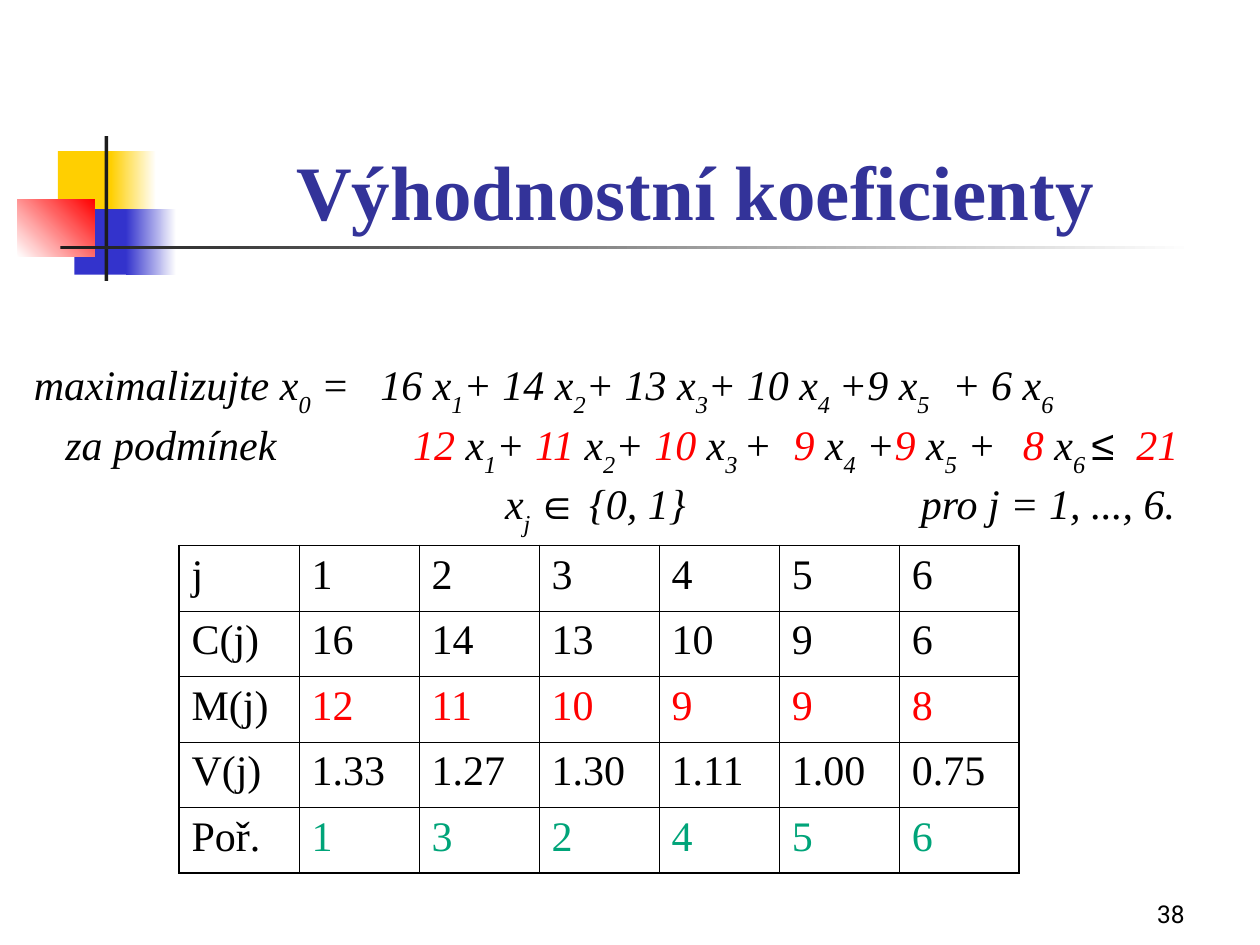
import pptx
import pptx.util
import pptx.dml.color
import pptx.enum.shapes
import pptx.enum.text
import pptx.oxml
import pptx.oxml.ns
import lxml.etree

Inches, Pt = pptx.util.Inches, pptx.util.Pt
RGBColor = pptx.dml.color.RGBColor
ALIGN, ANCHOR = pptx.enum.text.PP_ALIGN, pptx.enum.text.MSO_ANCHOR
qn = pptx.oxml.ns.qn

BLACK = RGBColor(0x00, 0x00, 0x00)
WHITE = RGBColor(0xFF, 0xFF, 0xFF)
DARK = RGBColor(0x1C, 0x1C, 0x1C)
GOLD = RGBColor(0xFF, 0xCF, 0x01)
BLUE = RGBColor(0x33, 0x33, 0xCC)
NAVY = RGBColor(0x33, 0x33, 0x99)
RED = RGBColor(0xFF, 0x00, 0x00)
GREEN = RGBColor(0x00, 0xA4, 0x79)
SERIF = "Times New Roman"

# Parts are split by "|": "_" marks a subscript, "*" red, "^" Arial.
# Each line has its tab stops, in inches from the left of the text.
LINES = [
    ("maximalizujte x|_0| =\t16 x|_1|+ 14 x|_2|+ 13 x|_3|+ 10 x|_4|\t+9 x|_5|\t+ 6 x|_6",
     [2.75, 6.39, 7.29]),
    ("\tza podmínek\t|*12 |x|_1|+ |*11| x|_2|+ |*10 |x|_3 |+\t|*9 |x|_4| +|*9| x|_5"
     "| +\t|*8 |x|_6 |^≤\t|*21", [0.25, 3.01, 6.03, 7.85, 8.75]),
    ("\tx|_j |^∈| {0, 1}\tpro j = 1, ..., 6.", [3.74, 7.04]),
]
ROWS = [
    ("j 1 2 3 4 5 6", BLACK),
    ("C(j) 16 14 13 10 9 6", BLACK),
    ("M(j) 12 11 10 9 9 8", RED),
    ("V(j) 1.33 1.27 1.30 1.11 1.00 0.75", BLACK),
    ("Poř. 1 3 2 4 5 6", GREEN),
]


def style(font, size, color, name=SERIF):
    font.size, font.name = Pt(size), name
    font.color.rgb = color


def add_block(slide, left, top, width, height, color, end=None, angle=0):
    """A plain block, or one that fades from color to end."""
    block = slide.shapes.add_shape(
        pptx.enum.shapes.MSO_SHAPE.RECTANGLE,
        Inches(left), Inches(top), Inches(width), Inches(height))
    block.shadow.inherit = False
    block.line.fill.background()
    if end is None:
        block.fill.solid()
        block.fill.fore_color.rgb = color
        return
    block.fill.gradient()
    block.fill.gradient_angle = angle
    for stop, place, shade in zip(block.fill.gradient_stops, (0, 1), (color, end)):
        stop.position = place
        stop.color.rgb = shade


def add_motif(slide, left, top):
    add_block(slide, left + 0.32, top + 0.12, 0.48, 0.52, GOLD)
    add_block(slide, left + 0.74, top + 0.12, 0.36, 0.52, GOLD, WHITE)
    add_block(slide, left + 0.45, top + 0.58, 0.46, 0.52, BLUE)
    add_block(slide, left + 0.86, top + 0.58, 0.4, 0.52, BLUE, WHITE)
    add_block(slide, left, top + 0.5, 0.61, 0.46, WHITE, RED, 45)
    add_block(slide, left + 0.69, top, 0.03, 1.15, DARK)
    add_block(slide, left + 0.34, top + 0.87, 9, 0.03, DARK, WHITE)


def add_frame(slide, left, top, width, height, anchor):
    frame = slide.shapes.add_textbox(
        Inches(left), Inches(top), Inches(width), Inches(height)).text_frame
    frame.word_wrap = True
    frame.vertical_anchor = anchor
    return frame


def add_label(slide, box, text, align, size, color, name=SERIF, bold=False):
    par = add_frame(slide, *box, ANCHOR.BOTTOM).paragraphs[0]
    par.text, par.alignment = text, align
    style(par.font, size, color, name)
    par.font.bold = bold


def set_tabs(par, stops):
    tabs = lxml.etree.SubElement(par._p.get_or_add_pPr(), qn("a:tabLst"))
    for stop in stops:
        lxml.etree.SubElement(tabs, qn("a:tab"), pos=str(Inches(stop)), algn="l")


def add_model(slide, left, top, width, height):
    frame = add_frame(slide, left, top, width, height, ANCHOR.TOP)
    for i, (line, stops) in enumerate(LINES):
        par = frame.add_paragraph() if i else frame.paragraphs[0]
        set_tabs(par, stops)
        style(par.font, 24, BLACK)
        par.font.italic = True
        for part in line.split("|"):
            run = par.add_run()
            run.text = part.lstrip("_*^")
            if part[0] == "_":
                run._r.get_or_add_rPr().set("baseline", "-30000")
            elif part[0] == "*":
                run.font.color.rgb = RED
            elif part[0] == "^":
                run.font.name = "Arial"


def set_edges(cell, outer):
    """Draw the four cell borders; those named in outer are thicker."""
    props = cell._tc.get_or_add_tcPr()
    for side in "LRTB":
        width = Pt(1.08 if side in outer else 0.45)
        line = lxml.etree.SubElement(props, qn("a:ln" + side), w=str(width))
        fill = lxml.etree.SubElement(line, qn("a:solidFill"))
        lxml.etree.SubElement(fill, qn("a:srgbClr"), val=str(BLACK))


def add_grid(slide, left, top, width, height):
    rows, cols = len(ROWS), len(ROWS[0][0].split())
    table = slide.shapes.add_table(
        rows, cols, Inches(left), Inches(top), Inches(width), Inches(height)).table
    table.first_row = table.horz_banding = False
    for i, (values, color) in enumerate(ROWS):
        for j, value in enumerate(values.split()):
            cell = table.cell(i, j)
            outer = [side for side, here in zip(
                "LRTB", (j == 0, j == cols - 1, i == 0, i == rows - 1)) if here]
            set_edges(cell, outer)
            cell.fill.background()
            par = cell.text_frame.paragraphs[0]
            par.text = value
            style(par.font, 24, color if j else BLACK)


def main():
    deck = pptx.Presentation()
    deck.slide_width, deck.slide_height = Inches(10), Inches(7.5)
    slide = deck.slides.add_slide(deck.slide_layouts[6])
    add_motif(slide, 0.14, 1.08)
    add_label(slide, (7.42, 6.92, 2.08, 0.5), "38", ALIGN.RIGHT, 14, BLACK, "Roboto")
    add_label(slide, (1.26, 0.67, 8.52, 1.25), "Výhodnostní koeficienty",
              ALIGN.CENTER, 44, NAVY, bold=True)
    add_model(slide, 0.17, 2.8, 9.67, 1.54)
    add_grid(slide, 1.42, 4.33, 6.67, 2.6)
    deck.save("out.pptx")


if __name__ == "__main__":
    main()
